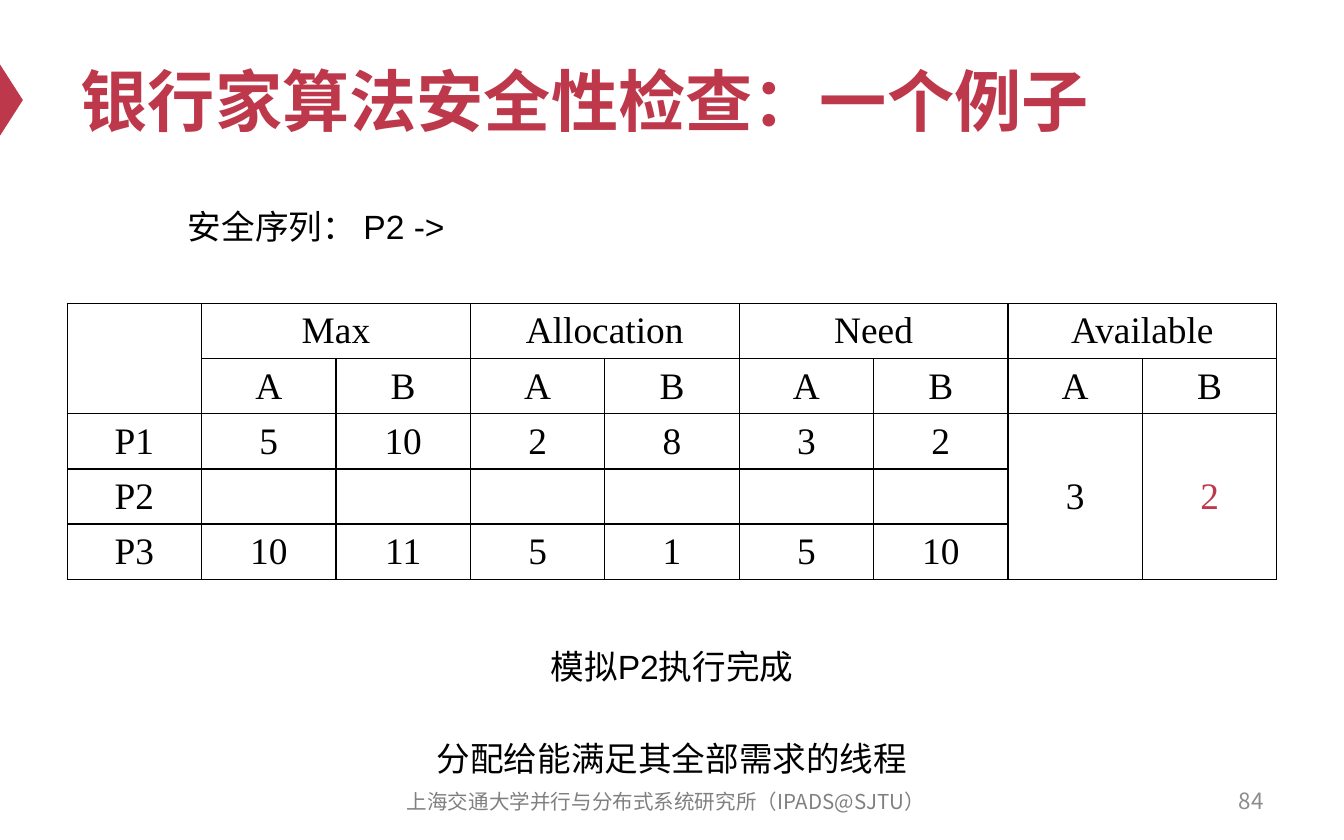
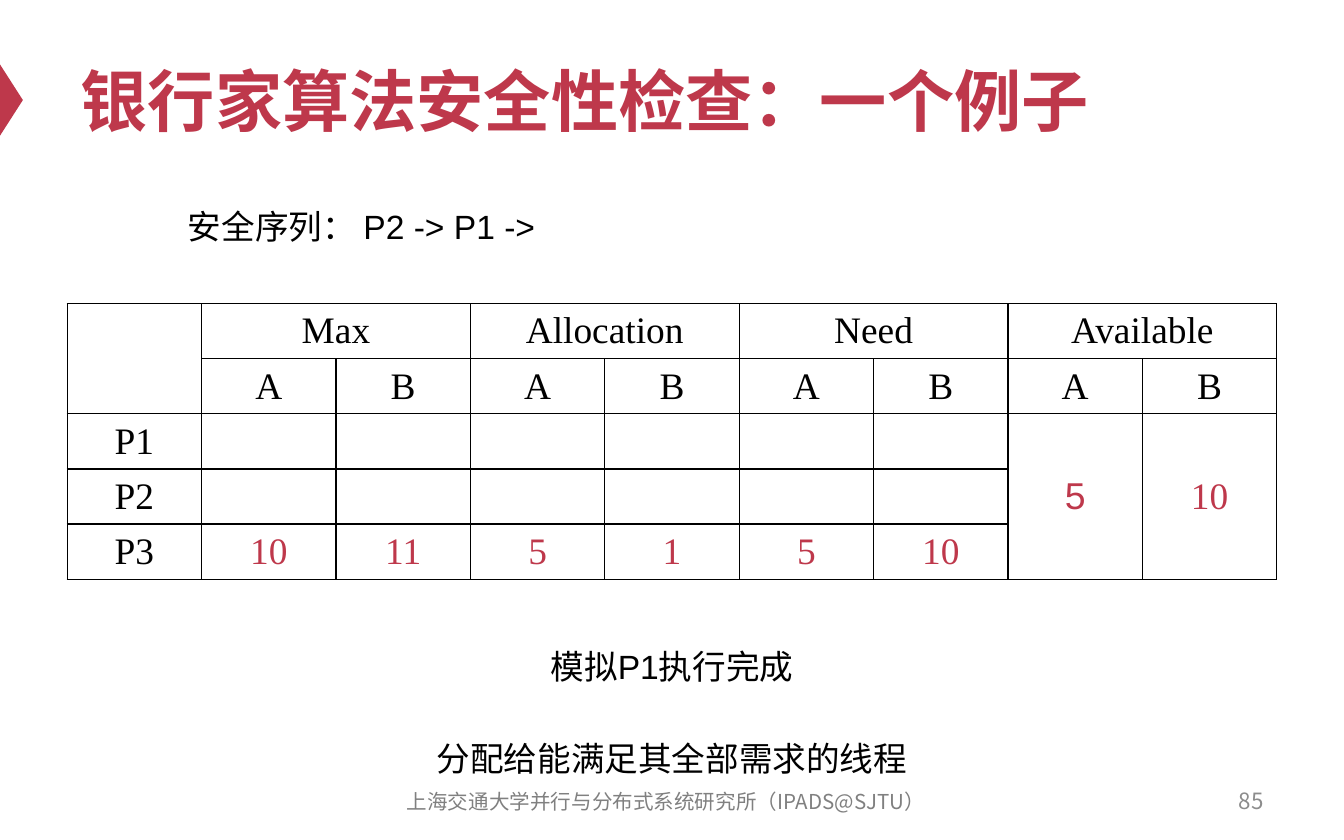
"""Build two slides that step through the safety check of the banker's algorithm."""
import dataclasses
import typing

import pptx
import pptx.dml.color
import pptx.enum.shapes
import pptx.enum.text
import pptx.oxml
import pptx.oxml.ns
import pptx.presentation
import pptx.slide
import pptx.table
import pptx.text.text
import pptx.util

PX_PER_INCH = 100
COLORS = {"accent": "BE384B", "ink": "000000", "footer": "808080", "number": "8C8C8C"}
SANS, SERIF, CJK = "Arial", "Times New Roman", "Noto Sans CJK SC"
ALIGN = pptx.enum.text.PP_ALIGN
ANCHOR = pptx.enum.text.MSO_ANCHOR
AUTO_SIZE = pptx.enum.text.MSO_AUTO_SIZE

TITLE = "银行家算法安全性检查：一个例子"
RULE = "分配给能满足其全部需求的线程"
INSTITUTE = "上海交通大学并行与分布式系统研究所（IPADS@SJTU）"
RESOURCE_GROUPS = ("Max", "Allocation", "Need", "Available")
RESOURCES = ("A", "B")
COLUMN_WIDTH, ROW_HEIGHT, CELL_MARGIN = 100, 41, 4
FIRST_PAGE = 84


class Box(typing.NamedTuple):
    """Left, top, width and height in px."""

    left: int
    top: int
    width: int
    height: int


@dataclasses.dataclass(frozen=True)
class Style:
    """Look of a piece of text."""

    size: int
    font: str = SANS
    color: str = "ink"
    bold: bool = False
    align: ALIGN = ALIGN.CENTER


class Entry(typing.NamedTuple):
    """Text of one table cell."""

    text: str
    color: str = "ink"
    font: str = SERIF


@dataclasses.dataclass(frozen=True)
class Step:
    """One state of the safety check."""

    sequence: str
    finished: str
    threads: dict[str, list[Entry]]
    available: list[Entry]


HEADING = Style(36, color="accent", bold=True, align=ALIGN.LEFT)
CAPTION = Style(18)
SEQUENCE = Style(18, align=ALIGN.LEFT)
FOOTER = Style(11, CJK, "footer")
PAGE_NUMBER = Style(12, CJK, "number", align=ALIGN.RIGHT)


def entries(values: str, color: str = "ink") -> list[Entry]:
    """Split a line of values into equally coloured entries."""
    return [Entry(value, color) for value in values.split()]


STEPS = (
    Step(
        "安全序列： P2 ->",
        "P2",
        {"P1": entries("5 10 2 8 3 2"), "P2": [], "P3": entries("10 11 5 1 5 10")},
        [Entry("3"), Entry("2", "accent")],
    ),
    Step(
        "安全序列： P2 -> P1 ->",
        "P1",
        {"P1": [], "P2": [], "P3": entries("10 11 5 1 5 10", "accent")},
        [Entry("5", "accent", SANS), Entry("10", "accent")],
    ),
)


def px(length: int) -> pptx.util.Emu:
    """Turn px into EMU."""
    return pptx.util.Emu(length * pptx.util.Inches(1) // PX_PER_INCH)


def rgb(color: str) -> pptx.dml.color.RGBColor:
    """Look up a named colour."""
    return pptx.dml.color.RGBColor.from_string(COLORS[color])


def write(frame: pptx.text.text.TextFrame, text: str, style: Style) -> None:
    """Set the text of a frame and format its run."""
    frame.text = text
    paragraph = frame.paragraphs[0]
    paragraph.alignment = style.align
    for run in paragraph.runs:
        run.font.size = pptx.util.Pt(style.size)
        run.font.bold = style.bold
        run.font.name = style.font
        run.font.color.rgb = rgb(style.color)
        latin = run.font._element.find(pptx.oxml.ns.qn("a:latin"))
        latin.addnext(pptx.oxml.parse_xml(f'<a:ea {pptx.oxml.ns.nsdecls("a")} typeface="{CJK}"/>'))


def add_label(slide: pptx.slide.Slide, box: Box, text: str, style: Style) -> pptx.text.text.TextFrame:
    """Add a wrapping text box."""
    frame = slide.shapes.add_textbox(*map(px, box)).text_frame
    frame.word_wrap = True
    write(frame, text, style)
    return frame


def add_caption(slide: pptx.slide.Slide, left: int, top: int, text: str, style: Style) -> None:
    """Add a line of explanation around the table."""
    frame = add_label(slide, Box(left, top, 764, 50), text, style)
    frame.auto_size = AUTO_SIZE.SHAPE_TO_FIT_TEXT
    frame.paragraphs[0].line_spacing = 1.5


def add_master_marker(slide: pptx.slide.Slide) -> None:
    """Put the title marker on the master of the slide."""
    marker = slide.shapes.add_shape(
        pptx.enum.shapes.MSO_SHAPE.ISOSCELES_TRIANGLE, *map(px, Box(-18, 66, 53, 17))
    )
    marker.rotation = 90
    marker.shadow.inherit = False
    marker.fill.solid()
    marker.fill.fore_color.rgb = rgb("accent")
    marker.line.fill.background()
    marker.element.nvSpPr.cNvPr.set("id", "100")
    slide.slide_layout.slide_master.shapes.element.append(marker.element)


def add_title(slide: pptx.slide.Slide) -> None:
    """Fill the title placeholder."""
    title = slide.shapes.title
    title.left, title.top, title.width, title.height = map(px, Box(50, 25, 900, 98))
    title.text_frame.vertical_anchor = ANCHOR.MIDDLE
    title.text_frame.auto_size = AUTO_SIZE.NONE
    write(title.text_frame, TITLE, HEADING)


def add_footer(slide: pptx.slide.Slide, page: int) -> None:
    """Add the institute and the page number."""
    for box, text, style in (
        (Box(279, 580, 433, 33), INSTITUTE, FOOTER),
        (Box(717, 579, 233, 33), str(page), PAGE_NUMBER),
    ):
        add_label(slide, box, text, style).vertical_anchor = ANCHOR.MIDDLE


def format_cell(cell: pptx.table._Cell) -> None:
    """Give a cell no fill and thin borders."""
    cell.vertical_anchor = ANCHOR.MIDDLE
    cell.margin_top = cell.margin_bottom = px(CELL_MARGIN)
    cell.fill.background()
    properties = cell._tc.get_or_add_tcPr()
    for index, side in enumerate("LRTB"):
        border = pptx.oxml.parse_xml(
            f'<a:ln{side} {pptx.oxml.ns.nsdecls("a")} w="{pptx.util.Pt(0.75)}"><a:solidFill>'
            f'<a:srgbClr val="{COLORS["ink"]}"/></a:solidFill></a:ln{side}>'
        )
        properties.insert(index, border)


def add_allocation_table(slide: pptx.slide.Slide, step: Step) -> None:
    """Add the table of maximum, allocated, needed and available resources."""
    row_count = 2 + len(step.threads)
    column_count = 1 + len(RESOURCE_GROUPS) * len(RESOURCES)
    available_column = column_count - len(RESOURCES)
    box = Box(50, 226, column_count * COLUMN_WIDTH, row_count * ROW_HEIGHT)
    table = slide.shapes.add_table(row_count, column_count, *map(px, box)).table
    table.first_row = table.horz_banding = False
    for cell in table.iter_cells():
        format_cell(cell)

    contents: dict[tuple[int, int], Entry] = {}
    table.cell(0, 0).merge(table.cell(1, 0))
    for group, name in enumerate(RESOURCE_GROUPS):
        first = 1 + group * len(RESOURCES)
        table.cell(0, first).merge(table.cell(0, first + len(RESOURCES) - 1))
        contents[0, first] = Entry(name)
        for offset, resource in enumerate(RESOURCES):
            contents[1, first + offset] = Entry(resource)
    for row, (thread, amounts) in enumerate(step.threads.items(), start=2):
        for column, entry in enumerate([Entry(thread), *amounts]):
            contents[row, column] = entry
    for column, entry in enumerate(step.available, start=available_column):
        table.cell(2, column).merge(table.cell(row_count - 1, column))
        contents[2, column] = entry

    for (row, column), entry in contents.items():
        write(table.cell(row, column).text_frame, entry.text, Style(20, entry.font, entry.color))


def build_slide(deck: pptx.presentation.Presentation, step: Step, page: int) -> pptx.slide.Slide:
    """Add the slide of one step."""
    slide = deck.slides.add_slide(deck.slide_layouts.get_by_name("Title Only"))
    add_title(slide)
    add_allocation_table(slide, step)
    add_caption(slide, 118, 461, f"模拟{step.finished}执行完成", CAPTION)
    add_caption(slide, 118, 529, RULE, CAPTION)
    add_caption(slide, 130, 133, step.sequence, SEQUENCE)
    add_footer(slide, page)
    return slide


def main() -> None:
    """Build and save the slides."""
    deck = pptx.Presentation()
    deck.slide_width, deck.slide_height = px(1000), px(625)
    slides = [build_slide(deck, step, page) for page, step in enumerate(STEPS, FIRST_PAGE)]
    add_master_marker(slides[0])
    deck.save("out.pptx")


if __name__ == "__main__":
    main()
